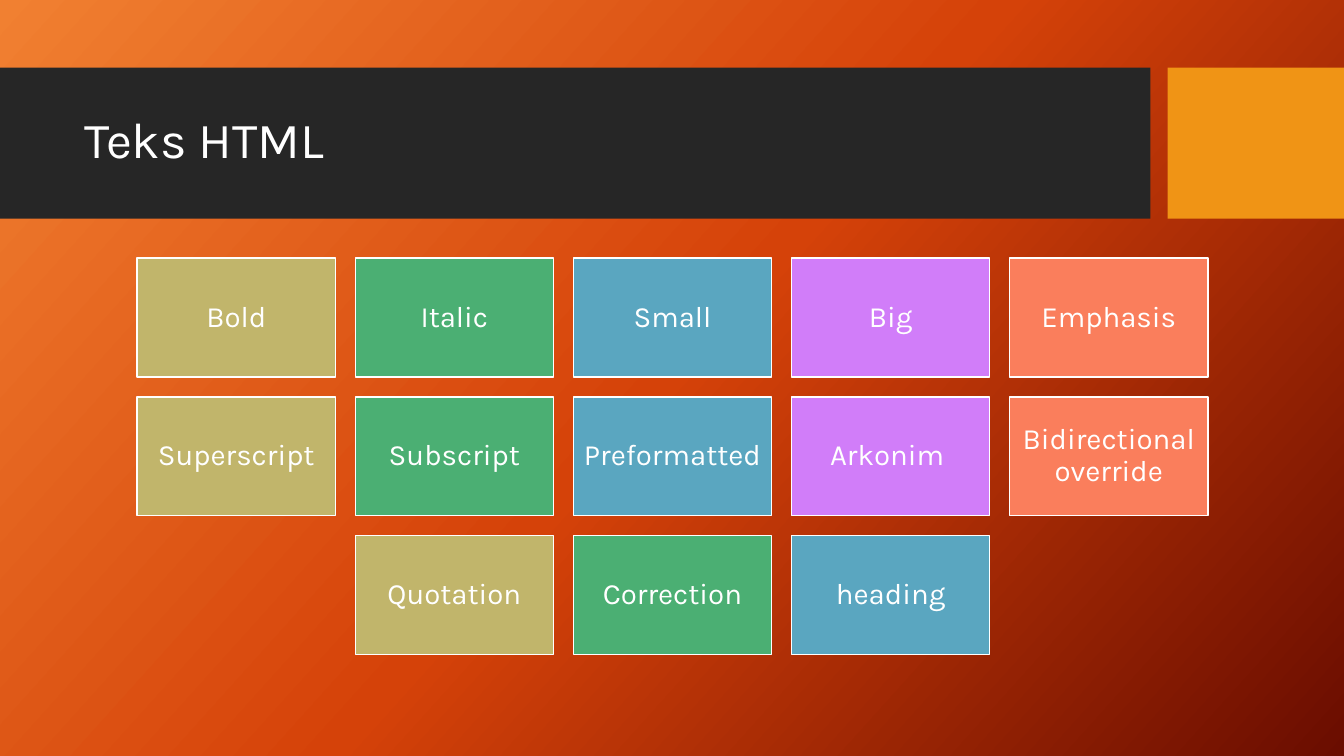
from copy import deepcopy

from pptx import Presentation
from pptx.dml.color import RGBColor
from pptx.enum.shapes import MSO_SHAPE
from pptx.enum.text import MSO_ANCHOR, PP_ALIGN
from pptx.oxml.ns import qn
from pptx.util import Inches, Pt

RECTANGLE = MSO_SHAPE.RECTANGLE
MIDDLE = MSO_ANCHOR.MIDDLE
LEFT, CENTER = PP_ALIGN.LEFT, PP_ALIGN.CENTER

FONT = "Karla"
WHITE = "FFFFFF"
BACKGROUND_STOPS = [(0, "F18031"), (0.5, "D54209"), (1, "6A0D00")]
TILE_COLORS = ["C1B56B", "4BAF73", "5AA6C0", "D17DF9", "FA7E5C"]
TILE_ROWS = [
    ["Bold", "Italic", "Small", "Big", "Emphasis"],
    ["Superscript", "Subscript", "Preformatted", "Arkonim ", "Bidirectional override"],
    ["Quotation", "Correction", "heading"],
]


def rgb(hex_color):
    return RGBColor.from_string(hex_color)


def paint_background(slide):
    fill = slide.background.fill
    fill.gradient()
    fill.gradient_angle = 360 - 42  # counter-clockwise
    stop_list = slide.element.find(".//" + qn("a:gsLst"))
    stop_list.append(deepcopy(stop_list[0]))
    for stop, (position, color) in zip(fill.gradient_stops, BACKGROUND_STOPS):
        stop.position = position
        stop.color.rgb = rgb(color)


def add_rectangle(slide, left, top, width, height, color):
    shape = slide.shapes.add_shape(
        RECTANGLE, Inches(left), Inches(top), Inches(width), Inches(height))
    shape.shadow.inherit = False
    shape.fill.solid()
    shape.fill.fore_color.rgb = rgb(color)
    shape.line.fill.background()
    return shape


def write_text(shape, text, size, alignment):
    frame = shape.text_frame
    frame.text = text
    frame.word_wrap = True
    frame.vertical_anchor = MIDDLE
    paragraph = frame.paragraphs[0]
    paragraph.alignment = alignment
    paragraph.line_spacing = 0.9
    paragraph.font.name = FONT
    paragraph.font.size = Pt(size)
    paragraph.font.color.rgb = rgb(WHITE)


def add_title_band(slide, text, top, width, height):
    """Dark title bar with an orange block at its right end."""
    block_width = 1.75
    bar_width = width - block_width - 0.17
    add_rectangle(slide, 0, top, bar_width, height, "262626")
    add_rectangle(slide, width - block_width, top, block_width, height, "F09415")

    title = slide.shapes.title
    title.left, title.top = Inches(0.74), Inches(top + 0.15)
    title.width, title.height = Inches(bar_width - 0.9), Inches(1.18)
    write_text(title, text, 36, LEFT)
    slide.shapes.element.append(title.element)  # in front of the bar


def add_tile_grid(slide, rows, left, top, width):
    """Rows of tiles, each row centred in the width of the grid."""
    columns = len(TILE_COLORS)
    tile_width = width / (columns + 0.1 * (columns - 1))
    tile_height = 0.6 * tile_width
    gap = 0.1 * tile_width
    for row, labels in enumerate(rows):
        indent = (columns - len(labels)) * (tile_width + gap) / 2
        for column, label in enumerate(labels):
            tile = add_rectangle(
                slide,
                left + indent + column * (tile_width + gap),
                top + row * (tile_height + gap),
                tile_width, tile_height, TILE_COLORS[column])
            tile.line.color.rgb = rgb(WHITE)
            tile.line.width = Pt(1)
            frame = tile.text_frame
            frame.margin_left = frame.margin_right = Inches(0.09)
            frame.margin_top = frame.margin_bottom = Inches(0.09)
            write_text(tile, label, 21, CENTER)


def main():
    presentation = Presentation()
    presentation.slide_width = Inches(13.33)
    presentation.slide_height = Inches(7.5)
    title_only = presentation.slide_layouts[5]
    slide = presentation.slides.add_slide(title_only)
    paint_background(slide)
    add_title_band(slide, "Teks HTML", top=0.67, width=13.33, height=1.5)
    add_tile_grid(slide, TILE_ROWS, left=1.36, top=2.56, width=10.62)
    presentation.save("out.pptx")


if __name__ == "__main__":
    main()
